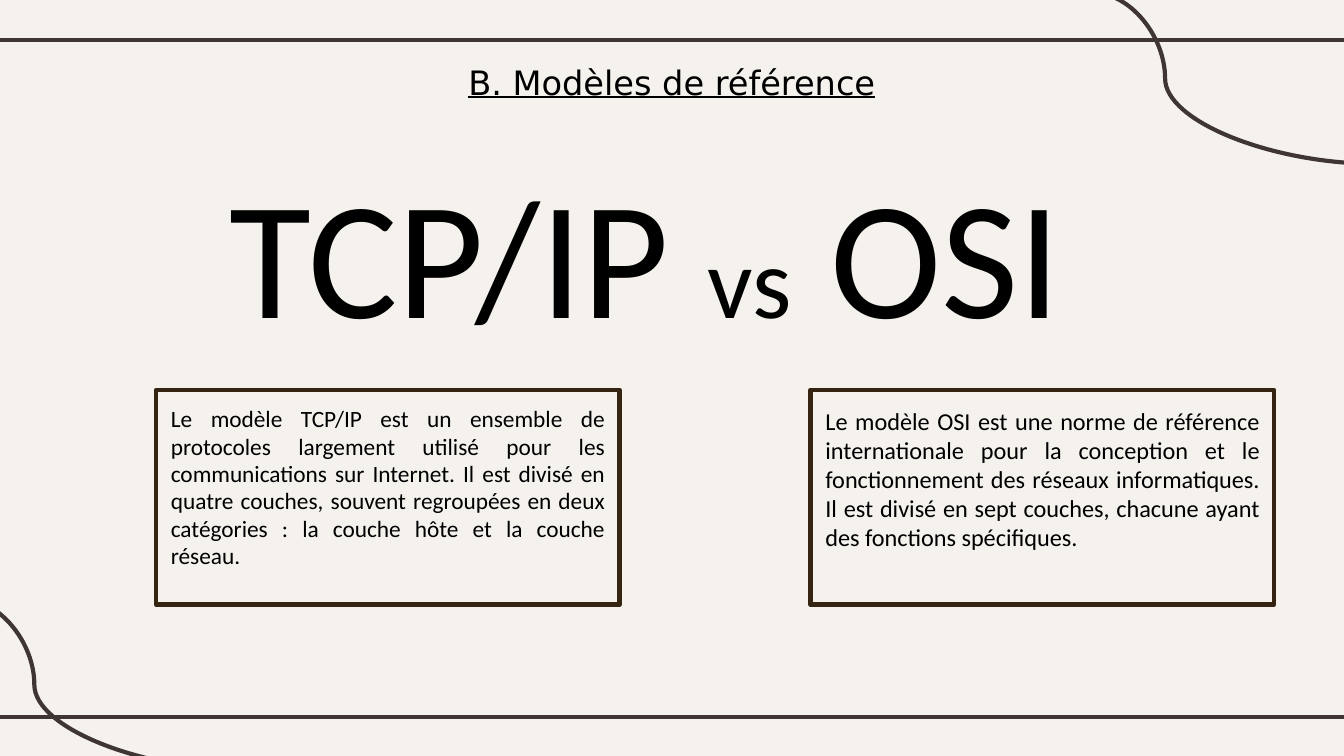
from lxml.etree import SubElement
from pptx import Presentation
from pptx.dml.color import RGBColor
from pptx.enum.shapes import MSO_CONNECTOR as Connector, MSO_SHAPE as Shape
from pptx.enum.text import MSO_ANCHOR as Anchor, MSO_AUTO_SIZE as AutoSize, PP_ALIGN as Align
from pptx.oxml.ns import qn
from pptx.util import Cm, Pt

COLORS = {"background": "F5F2EE", "rule": "3F3533", "border": "362413", "text": "000000"}


def color(name):
    return RGBColor.from_string(COLORS[name])


def write(paragraph, text, size, font="Calibri", underline=None):
    """Add one formatted run to a paragraph."""
    run = paragraph.add_run()
    run.text = text
    run.font.name = font
    run.font.size = Pt(size)
    run.font.underline = underline
    run.font.color.rgb = color("text")


class SlideBuilder:
    def __init__(self, slide):
        self.slide = slide
        fill = slide.background.fill
        fill.solid()
        fill.fore_color.rgb = color("background")

    def place(self, shape, left, top, width, height):
        shape.left, shape.top = Cm(left), Cm(top)
        shape.width, shape.height = Cm(width), Cm(height)

    def frame(self, shape, align, side, top):
        """Prepare a text frame and return its first paragraph."""
        frame = shape.text_frame
        frame.word_wrap = True
        frame.auto_size = AutoSize.NONE
        frame.vertical_anchor = Anchor.TOP
        frame.margin_left = frame.margin_right = Cm(side)
        frame.margin_top = frame.margin_bottom = Cm(top)
        paragraph = frame.paragraphs[0]
        paragraph.alignment = align
        return paragraph

    def connector(self, kind, left, top, width, height):
        line = self.slide.shapes.add_connector(
            kind, Cm(left), Cm(top), Cm(left + width), Cm(top + height))
        line.line.color.rgb = color("rule")
        line.line.width = Pt(2.25)
        properties = line._element.spPr
        SubElement(properties, qn("a:effectLst"))
        return properties

    def rule(self, top):
        self.connector(Connector.STRAIGHT, -0.2, top, 25.8, 0)

    def curve(self, left, top):
        properties = self.connector(Connector.CURVE, left, top, 5.36, 3.23)
        # Bend at a quarter of the width
        guides = properties.find(qn("a:prstGeom")).find(qn("a:avLst"))
        SubElement(guides, qn("a:gd"), name="adj1", fmla="val 25000")

    def title(self, text):
        title = self.slide.shapes.title
        self.place(title, 0, 1.04, 25.4, 1.73)
        paragraph = self.frame(title, Align.CENTER, 0.25, 0.13)
        paragraph.line_spacing = 1.0
        write(paragraph, text, 18, font="DejaVu Sans", underline=True)

    def headline(self, parts):
        box = self.slide.shapes.add_textbox(Cm(-0.5), Cm(2.41), Cm(25.4), Cm(3.58))
        paragraph = self.frame(box, Align.CENTER, 0.25, 0.43)
        for text, size in parts:
            write(paragraph, text, size)

    def card(self, left, text, size, spacing):
        card = self.slide.shapes.add_shape(
            Shape.RECTANGLE, Cm(left), Cm(7.37), Cm(8.76), Cm(4.06))
        card.shadow.inherit = False
        card.fill.background()
        card.line.color.rgb = color("border")
        card.line.width = Pt(2.3)
        paragraph = self.frame(card, Align.JUSTIFY, 0.28, 0.3)
        paragraph.line_spacing = spacing
        write(paragraph, text, size)


def main():
    presentation = Presentation()
    presentation.slide_width, presentation.slide_height = Cm(25.4), Cm(14.29)
    title_only = presentation.slide_layouts[5]
    builder = SlideBuilder(presentation.slides.add_slide(title_only))

    # Decorative rules and corner curves
    for top in (0.76, 13.55):
        builder.rule(top)
    for left, top in ((-0.69, 11.33), (20.68, -0.13)):
        builder.curve(left, top)

    # Headings
    builder.title("B. Modèles de référence")
    builder.headline([("TCP/IP ", 90), ("vs", 54), (" OSI", 90)])

    # Model descriptions
    builder.card(
        15.32,
        "Le modèle OSI est une norme de référence internationale pour la conception et le "
        "fonctionnement des réseaux informatiques. Il est divisé en sept couches, chacune "
        "ayant des fonctions spécifiques.", 13, 1.0)
    builder.card(
        2.95,
        "Le modèle TCP/IP est un ensemble de protocoles largement utilisé pour les "
        "communications sur Internet. Il est divisé en quatre couches, souvent regroupées "
        "en deux catégories : la couche hôte et la couche réseau.", 12.5, 0.98)

    presentation.save("out.pptx")


if __name__ == "__main__":
    main()
